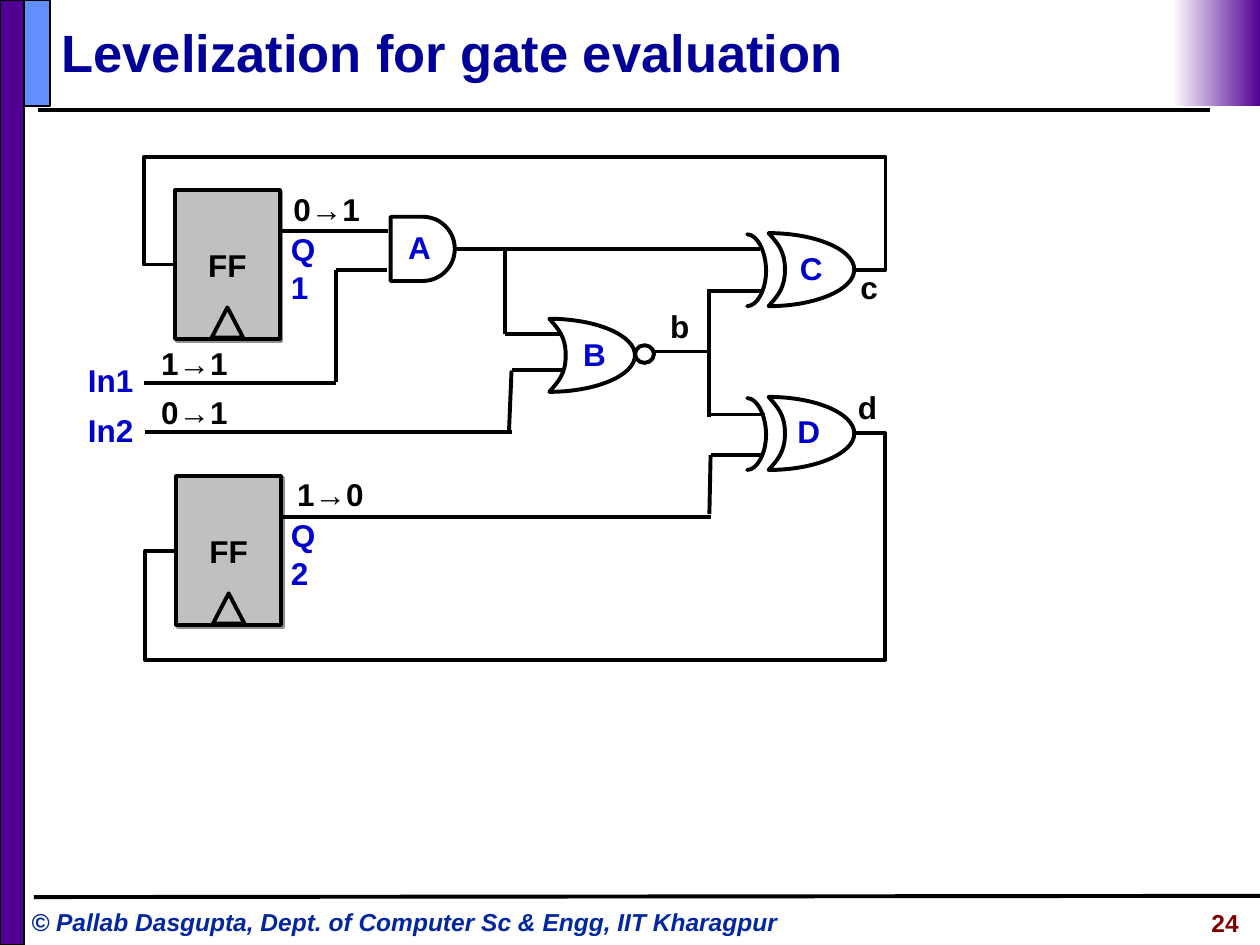
from dataclasses import dataclass
from typing import Any, NamedTuple

import pptx
import pptx.dml.color
import pptx.enum.shapes
import pptx.enum.text
import pptx.oxml
import pptx.oxml.ns
import pptx.util

Inches = pptx.util.Inches
Pt = pptx.util.Pt
RGB = pptx.dml.color.RGBColor.from_string
qn = pptx.oxml.ns.qn
Preset = pptx.enum.shapes.MSO_SHAPE
Line = pptx.enum.shapes.MSO_CONNECTOR
Align = pptx.enum.text.PP_ALIGN
Anchor = pptx.enum.text.MSO_ANCHOR
AutoSize = pptx.enum.text.MSO_AUTO_SIZE
Point = tuple[float, float]


@dataclass(frozen=True)
class Theme:
    font: str = "Arial"
    ink: str = "000000"
    signal: str = "0000CC"
    title: str = "000099"
    credit: str = "00279F"
    page: str = "800000"
    purple: str = "500093"
    blue: str = "618FFD"
    white: str = "FFFFFF"
    grey: str = "C0C0C0"
    shadow: str = "919191"
    title_size: int = 30
    label_size: int = 18
    footer_size: int = 14
    wire: float = 2.25
    border: float = 1


THEME = Theme()


class Box(NamedTuple):
    left: float
    top: float
    width: float
    height: float


class Label(NamedTuple):
    text: str
    box: Box
    color: str
    size: int = THEME.label_size
    italic: bool = False
    align: Any = Align.LEFT
    anchor: Any = Anchor.TOP
    wrap: bool = False


class Wire(NamedTuple):
    start: Point
    end: Point


class Feedback(NamedTuple):
    start: Point
    end: Point
    right: float
    level: float
    left: float


GATE_BODY = [
    (0, 0), (0.07, 0.08), (0.13, 0.14), (0.13, 0.29),
    (0.13, 0.44), (0.07, 0.5), (0, 0.58),
    (0.37, 0.58), (0.68, 0.45), (0.68, 0.29),
    (0.68, 0.13), (0.37, 0), (0, 0),
]
XOR_ARC_DOWN = [(0, 0), (0.08, 0), (0.15, 0.14), (0.15, 0.29), (0.15, 0.44), (0.08, 0.57), (0, 0.57)]
XOR_ARC = XOR_ARC_DOWN + XOR_ARC_DOWN[-2::-1]
FLIP_FLOPS = [(1.39, 1.51), (1.4, 3.78)]
AND_GATE = Box(3.1, 1.72, 0.51, 0.51)
AND_LEVEL = AND_GATE.top + AND_GATE.height / 2
XOR_TOPS = [1.85, 3.15]

WIRES = [Wire(*ends) for ends in [
    ((3.08, 1.83), (2.22, 1.83)),
    ((1.14, 3.04), (2.67, 3.04)),
    ((2.67, 3.03), (2.67, 2.14)),
    ((2.67, 2.14), (3.07, 2.14)),
    ((6.06, 2.31), (5.61, 2.31)),
    ((6.07, 3.29), (5.63, 3.29)),
    ((5.63, 2.31), (5.63, 3.31)),
    ((5.18, 2.79), (5.63, 2.79)),
    ((4.46, 2.65), (4.01, 2.65)),
    ((4.01, 2.65), (4.01, 1.97)),
    ((1.15, 3.43), (4.06, 3.43)),
    ((4.04, 3.42), (4.06, 2.94)),
    ((4.06, 2.94), (4.46, 2.94)),
    ((2.22, 4.1), (5.64, 4.1)),
    ((5.63, 4.08), (5.64, 3.61)),
    ((5.64, 3.61), (6.04, 3.61)),
]]
FEEDBACKS = [
    Feedback((6.79, 2.14), (1.37, 2.1), 7.03, 1.25, 1.14),
    Feedback((6.79, 3.44), (1.39, 4.37), 7.03, 5.24, 1.15),
]

CIRCUIT_LABELS = [Label(text, Box(left, top, width, 0.4), color) for text, left, top, width, color in [
    ("In1", 0.6, 2.82, 0.56, THEME.signal), ("In2", 0.6, 3.21, 0.56, THEME.signal),
    ("1→1", 1.18, 2.68, 0.73, THEME.ink), ("0→1", 1.18, 3.07, 0.73, THEME.ink),
    ("0→1", 2.23, 1.46, 0.73, THEME.ink), ("1→0", 2.26, 3.72, 0.73, THEME.ink),
    ("A", 3.14, 1.76, 0.38, THEME.signal), ("B", 4.53, 2.61, 0.38, THEME.signal),
    ("C", 6.25, 1.93, 0.38, THEME.signal), ("D", 6.23, 3.22, 0.38, THEME.signal),
    ("Q1", 2.21, 1.78, 0.53, THEME.signal), ("Q2", 2.21, 4.05, 0.53, THEME.signal),
    ("b", 5.22, 2.39, 0.35, THEME.ink), ("c", 6.73, 2.08, 0.34, THEME.ink),
    ("d", 6.71, 3.03, 0.35, THEME.ink),
]]
TITLE = Label("Levelization for gate evaluation", Box(0.39, 0.1, 9.1, 0.61), THEME.title,
              THEME.title_size, anchor=Anchor.MIDDLE, wrap=True)
CREDIT = Label("© Pallab Dasgupta, Dept. of Computer Sc & Engg, IIT Kharagpur",
               Box(0.15, 7.15, 6.37, 0.34), THEME.credit, THEME.footer_size, italic=True)
PAGE = Label("24", Box(8.18, 7.16, 1.75, 0.35), THEME.page, THEME.footer_size,
             align=Align.RIGHT, wrap=True)


def apply(target: Any, values: dict[str, Any]) -> None:
    for name, value in values.items():
        setattr(target, name, value)


def inches(box: Box) -> list[int]:
    return [Inches(length) for length in box]


def write(shape: Any, label: Label) -> None:
    frame = shape.text_frame
    apply(frame, {"word_wrap": label.wrap, "vertical_anchor": label.anchor})
    paragraph = frame.paragraphs[0]
    paragraph.alignment = label.align
    run = paragraph.add_run()
    run.text = label.text
    apply(run.font, {"name": THEME.font, "size": Pt(label.size), "bold": True, "italic": label.italic})
    run.font.color.rgb = RGB(label.color)


def add_label(shapes: Any, label: Label) -> None:
    textbox = shapes.add_textbox(*inches(label.box))
    write(textbox, label)
    if not label.wrap:
        textbox.text_frame.auto_size = AutoSize.SHAPE_TO_FIT_TEXT


def paint(shape: Any, fill: str | None = None, width: float = THEME.wire) -> None:
    shape.shadow.inherit = False
    if fill:
        shape.fill.solid()
        shape.fill.fore_color.rgb = RGB(fill)
    else:
        shape.fill.background()
    shape.line.color.rgb = RGB(THEME.ink)
    shape.line.width = Pt(width)


def add_preset(shapes: Any, preset: Any, box: Box, fill: str | None = None,
               width: float = THEME.wire) -> Any:
    shape = shapes.add_shape(preset, *inches(box))
    paint(shape, fill, width)
    return shape


def add_wire(shapes: Any, wire: Wire, kind: Any = Line.STRAIGHT) -> Any:
    connector = shapes.add_connector(kind, *(Inches(value) for value in (*wire.start, *wire.end)))
    connector.line.color.rgb = RGB(THEME.ink)
    connector.line.width = Pt(THEME.wire)
    properties = connector._element.spPr
    properties.append(properties.makeelement(qn("a:effectLst"), {}))
    return connector


def add_feedback(shapes: Any, route: Feedback) -> None:
    connector = add_wire(shapes, Wire(route.start, route.end), Line.ELBOW)
    (x0, y0), (x1, y1) = route.start, route.end
    bends = [(route.right - x0) / (x1 - x0), (route.level - y0) / (y1 - y0), (route.left - x0) / (x1 - x0)]
    geometry = connector._element.spPr.find(qn("a:prstGeom"))
    geometry.set("prst", "bentConnector5")
    guides = geometry.find(qn("a:avLst"))
    for number, bend in enumerate(bends, 1):
        guides.append(guides.makeelement(
            qn("a:gd"), {"name": f"adj{number}", "fmla": f"val {round(bend * 100000)}"}))


def add_curve(shapes: Any, points: list[Point], left: float, top: float, fill: str | None = None) -> None:
    start, *rest = [(Inches(left + x), Inches(top + y)) for x, y in points]
    builder = shapes.build_freeform(*start)
    builder.add_line_segments(rest, close=True)
    shape = builder.convert_to_shape()
    paint(shape, fill)
    outline = next(shape._element.spPr.iter(qn("a:path")))
    segments = outline.findall(qn("a:lnTo"))[:len(rest)]
    for first in range(0, len(rest), 3):
        curve = outline.makeelement(qn("a:cubicBezTo"), {})
        segments[first].addprevious(curve)
        for segment in segments[first:first + 3]:
            curve.append(segment[0])
            outline.remove(segment)


def add_flip_flop(shapes: Any, left: float, top: float) -> None:
    box = Box(left, top, 0.83, 1.18)
    body = add_preset(shapes, Preset.RECTANGLE, box, THEME.grey)
    write(body, Label("FF", box, THEME.ink, align=Align.CENTER, anchor=Anchor.MIDDLE))
    body._element.spPr.find(qn("a:effectLst")).append(pptx.oxml.parse_xml(
        f'<a:outerShdw {pptx.oxml.ns.nsdecls("a")} dist="17780" dir="2700000">'
        f'<a:srgbClr val="{THEME.shadow}"/></a:outerShdw>'))
    add_preset(shapes, Preset.ISOSCELES_TRIANGLE, Box(left + 0.29, top + 0.93, 0.25, 0.24), THEME.grey)


def add_frame(shapes: Any) -> None:
    add_wire(shapes, Wire((0.3, 0.87), (9.6, 0.87)))
    add_label(shapes, CREDIT)
    add_preset(shapes, Preset.RECTANGLE, Box(0, 0, 0.19, 7.5), THEME.purple, THEME.border)
    add_wire(shapes, Wire((0.27, 7.12), (10, 7.11)))
    add_preset(shapes, Preset.RECTANGLE, Box(0.19, 0, 0.21, 0.84), THEME.blue, THEME.border)
    fade = add_preset(shapes, Preset.RECTANGLE, Box(9.3, 0, 0.7, 0.84))
    fade.line.fill.background()
    fade.fill.gradient()
    fade.fill.gradient_angle = 180
    for stop, color in zip(fade.fill.gradient_stops, (THEME.purple, THEME.white)):
        stop.color.rgb = RGB(color)


def add_circuit(shapes: Any) -> None:
    for left, top in FLIP_FLOPS:
        add_flip_flop(shapes.add_group_shape().shapes, left, top)
    and_gate = add_preset(shapes, Preset.FLOWCHART_DELAY, AND_GATE)
    nor_gate = shapes.add_group_shape().shapes
    add_curve(nor_gate, GATE_BODY, 4.36, 2.53)
    add_preset(nor_gate, Preset.OVAL, Box(5.04, 2.74, 0.15, 0.14))
    for top in XOR_TOPS:
        xor_gate = shapes.add_group_shape().shapes
        add_curve(xor_gate, GATE_BODY, 6.1, top)
        add_curve(xor_gate, XOR_ARC, 5.93, top + 0.01, THEME.blue)
    for wire in WIRES:
        add_wire(shapes, wire)
    add_wire(shapes, Wire((3.61, AND_LEVEL), (6.03, AND_LEVEL))).begin_connect(and_gate, 3)
    for route in FEEDBACKS:
        add_feedback(shapes, route)


def main() -> None:
    deck = pptx.Presentation()
    apply(deck, {"slide_width": Inches(10), "slide_height": Inches(7.5)})
    shapes = deck.slides.add_slide(deck.slide_layouts[6]).shapes
    add_frame(shapes)
    add_label(shapes, TITLE)
    add_circuit(shapes)
    for label in CIRCUIT_LABELS + [PAGE]:
        add_label(shapes, label)
    deck.save("out.pptx")


if __name__ == "__main__":
    main()
